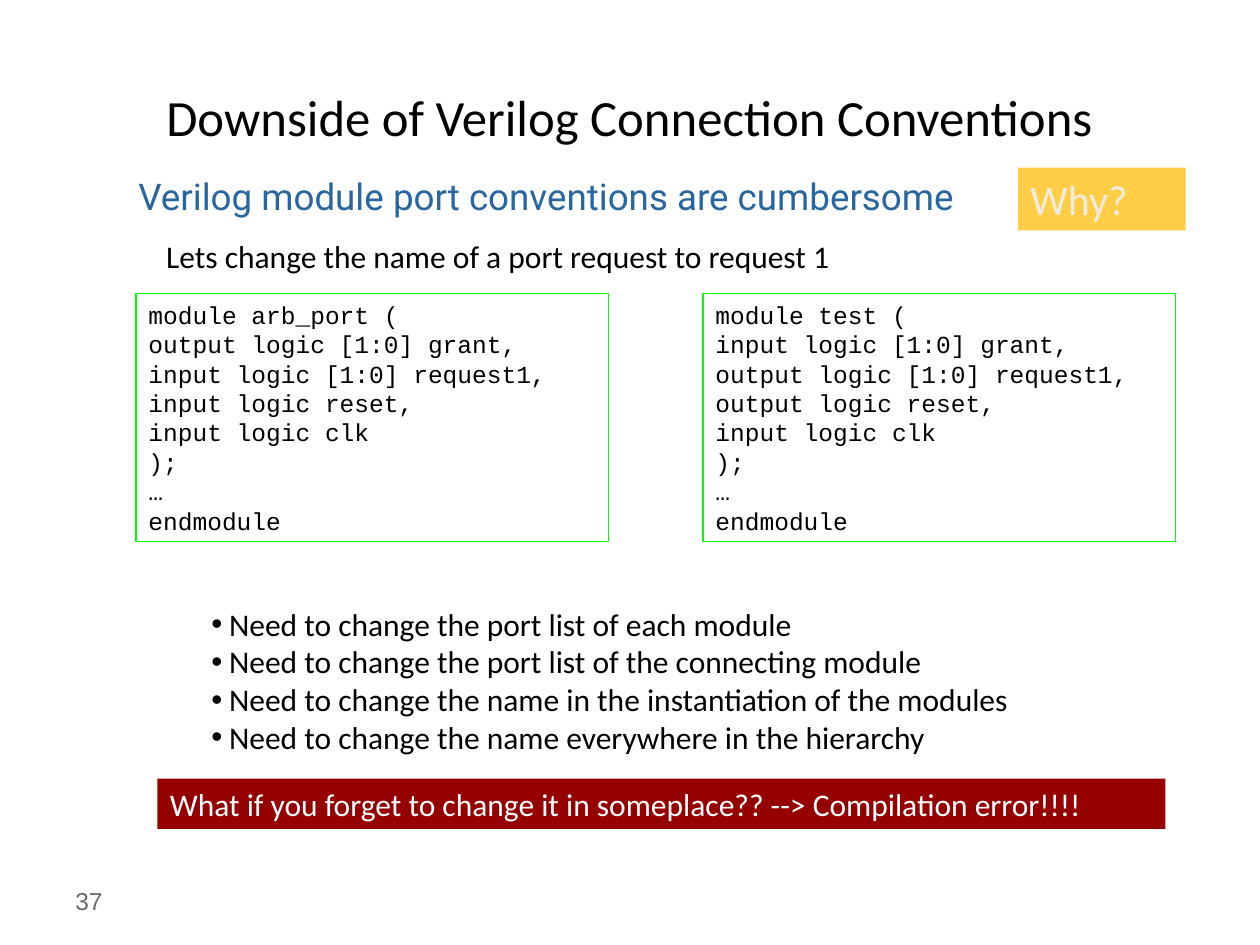
from pptx import Presentation
from pptx.dml.color import RGBColor
from pptx.enum.shapes import MSO_SHAPE
from pptx.enum.text import MSO_ANCHOR, PP_ALIGN
from pptx.oxml.ns import qn
from pptx.util import Inches, Pt
from lxml import etree

RECT = MSO_SHAPE.RECTANGLE
TOP, MIDDLE = MSO_ANCHOR.TOP, MSO_ANCHOR.MIDDLE
LEFT, CENTER = PP_ALIGN.LEFT, PP_ALIGN.CENTER


def color(code):
    return RGBColor.from_string(code)


class Deck:
    """Holds the text styles and the current slide."""

    styles = {
        "title": {"name": "Calibri", "size": Pt(29)},
        "head": {"name": "Roboto", "size": Pt(21)},
        "body": {"name": "Calibri", "size": Pt(18)},
        "tag": {"name": "Calibri", "size": Pt(24)},
        "code": {"name": "Courier New", "size": Pt(14)},
        "page": {"name": "Arial", "size": Pt(14)},
    }

    def __init__(self):
        self.prs = Presentation()
        self.prs.slide_width, self.prs.slide_height = Inches(10), Inches(7.5)
        self.slide = self.prs.slides.add_slide(self.prs.slide_layouts[6])

    def label(self, shape, lines, style, ink, anchor=TOP, align=LEFT, bullet=None):
        frame = shape.text_frame
        frame.word_wrap = True
        frame.vertical_anchor = anchor
        for i, line in enumerate(lines):
            para = frame.add_paragraph() if i else frame.paragraphs[0]
            para.text = line
            para.alignment = align
            if bullet:
                props = para._p.get_or_add_pPr()
                gap = Inches(0.14)
                props.set("marL", str(gap))
                props.set("indent", str(-gap))
                etree.SubElement(props, qn("a:buFont")).set("typeface", "Arial")
                etree.SubElement(props, qn("a:buChar")).set("char", bullet)
            font = para.runs[0].font
            for key, value in self.styles[style].items():
                setattr(font, key, value)
            font.color.rgb = color(ink)

    def text(self, box, lines, style, ink="000000", **opts):
        shape = self.slide.shapes.add_textbox(*map(Inches, box))
        self.label(shape, lines, style, ink, **opts)

    def panel(self, box, lines, style, ink="000000", fill=None, edge=None):
        shape = self.slide.shapes.add_shape(RECT, *map(Inches, box))
        shape.shadow.inherit = False
        if fill:
            shape.fill.solid()
            shape.fill.fore_color.rgb = color(fill)
        else:
            shape.fill.background()
        if edge:
            shape.line.color.rgb = color(edge)
            shape.line.width = Pt(0.75)
        else:
            shape.line.fill.background()
        self.label(shape, lines, style, ink)


def main():
    deck = Deck()

    # Page number, title and heading
    deck.text((0.5, 6.95, 2.33, 0.4), ["37"], "page", "6B6B6B", anchor=MIDDLE)
    deck.text((0.5, 0.3, 9, 1.25), ["Downside of Verilog Connection Conventions"],
              "title", anchor=MIDDLE, align=CENTER)
    deck.text((1, 1.33, 7, 0.5), ["Verilog module port conventions are cumbersome"],
              "head", "2766A0")
    deck.panel((8.08, 1.33, 1.33, 0.5), ["Why?"], "tag", "EEECE1", fill="FFCD46")
    deck.text((1.22, 1.83, 5.95, 0.4),
              ["Lets change the name of a port request to request 1"], "body")

    # Two modules whose port directions mirror each other
    modules = [("arb_port", "output", "input"), ("test", "input", "output")]
    for i, (name, grant, other) in enumerate(modules):
        code = [
            f"module {name} (",
            f"{grant} logic [1:0] grant,",
            f"{other} logic [1:0] request1,",
            f"{other} logic reset,",
            "input logic clk",
            ");",
            "…",
            "endmodule",
        ]
        deck.panel((1.08 + 4.5 * i, 2.33, 3.75, 1.97), code, "code", edge="00FF00")

    # Consequences
    needs = [
        "port list of each module",
        "port list of the connecting module",
        "name in the instantiation of the modules",
        "name everywhere in the hierarchy",
    ]
    deck.text((1.58, 4.75, 7.03, 1.3), [f"Need to change the {need}" for need in needs],
              "body", bullet="•")

    # Warning
    deck.panel((1.25, 6.18, 8, 0.4),
               ["What if you forget to change it in someplace?? --> Compilation error!!!!"],
               "body", "FFFFFF", fill="950101")

    deck.prs.save("out.pptx")


if __name__ == "__main__":
    main()
